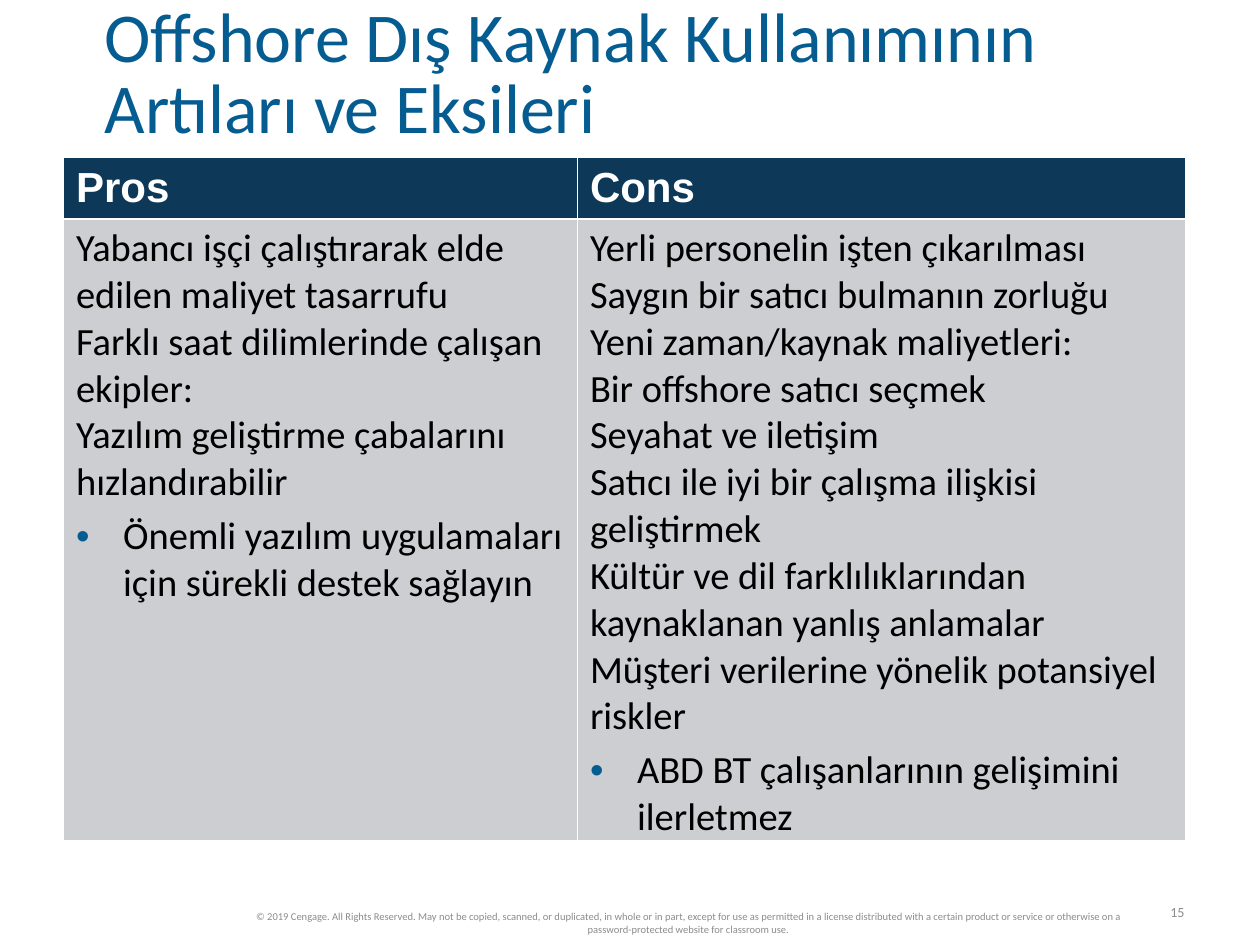
from dataclasses import dataclass

from lxml.etree import SubElement
from pptx import Presentation
from pptx.dml.color import RGBColor
from pptx.enum.text import MSO_ANCHOR, PP_ALIGN
from pptx.oxml.ns import qn
from pptx.util import Cm, Pt


@dataclass(frozen=True)
class Theme:
    """Colours, fonts and type sizes of the slide."""
    blue: str = "055C91"
    navy: str = "0D3857"
    pale: str = "CCCED1"
    gray: str = "8C8C8C"
    white: str = "FFFFFF"
    black: str = "000000"
    main: str = "Calibri"
    head: str = "Arial"
    title: int = 40
    label: int = 24
    body: int = 22
    page: int = 8
    note: int = 6


THEME = Theme()
PROS = [
    "Yabancı işçi çalıştırarak elde edilen maliyet tasarrufu",
    "Farklı saat dilimlerinde çalışan ekipler:",
    "Yazılım geliştirme çabalarını hızlandırabilir",
    "Önemli yazılım uygulamaları için sürekli destek sağlayın",
]
CONS = [
    "Yerli personelin işten çıkarılması",
    "Saygın bir satıcı bulmanın zorluğu",
    "Yeni zaman/kaynak maliyetleri:",
    "Bir offshore satıcı seçmek",
    "Seyahat ve iletişim",
    "Satıcı ile iyi bir çalışma ilişkisi geliştirmek",
    "Kültür ve dil farklılıklarından kaynaklanan yanlış anlamalar",
    "Müşteri verilerine yönelik potansiyel riskler",
    "ABD BT çalışanlarının gelişimini ilerletmez",
]
RIGHTS = (
    "© 2019 Cengage. All Rights Reserved. May not be copied, scanned, or "
    "duplicated, in whole or in part, except for use as permitted in a license "
    "distributed with a certain product or service or otherwise on a "
    "password-protected website for classroom use."
)


def style(para, size, color, face=THEME.main, bold=False):
    """Format every run of a paragraph."""
    for run in para.runs:
        font = run.font
        font.name, font.size, font.bold = face, Pt(size), bold
        font.color.rgb = RGBColor.from_string(color)


def bullet(para):
    """Give a paragraph a blue bullet and a hanging indent."""
    para.space_before = Pt(4)
    props = para._p.get_or_add_pPr()
    props.set("marL", str(Cm(0.95)))
    props.set("indent", str(-Cm(0.95)))
    tint = SubElement(props, qn("a:buClr"))
    SubElement(tint, qn("a:srgbClr")).set("val", THEME.blue)
    SubElement(props, qn("a:buFont")).set("typeface", THEME.head)
    SubElement(props, qn("a:buChar")).set("char", "•")


def fill(cell, color):
    """Fill a table cell with one colour."""
    cell.fill.solid()
    cell.fill.fore_color.rgb = RGBColor.from_string(color)


def add_title(slide, text):
    """Place and format the title."""
    title = slide.shapes.title
    title.left, title.top = Cm(2.11), Cm(0.08)
    title.width, title.height = Cm(22.3), Cm(2.92)
    frame = title.text_frame
    frame.text = text
    frame.word_wrap = True
    frame.vertical_anchor = MSO_ANCHOR.MIDDLE
    frame.margin_left = frame.margin_right = 0
    frame.margin_top = frame.margin_bottom = 0
    para = frame.paragraphs[0]
    para.alignment, para.line_spacing = PP_ALIGN.LEFT, 0.85
    style(para, THEME.title, THEME.blue)


def add_grid(slide, cols):
    """Add the table: a heading and a list in each column."""
    grid = slide.shapes.add_table(
        2, len(cols), Cm(1.28), Cm(3.18), Cm(22.63), Cm(13.74)).table
    grid.rows[0].height, grid.rows[1].height = Cm(1.23), Cm(12.51)
    for col, (name, width, items) in enumerate(cols):
        grid.columns[col].width = Cm(width)
        head, body = grid.cell(0, col), grid.cell(1, col)
        fill(head, THEME.navy)
        head.text_frame.text = name
        style(head.text_frame.paragraphs[0], THEME.label, THEME.white,
              THEME.head, True)
        fill(body, THEME.pale)
        body.margin_bottom = 0
        body.text_frame.text = "\n".join(items)
        paras = body.text_frame.paragraphs
        bullet(paras[-1])
        for para in paras:
            style(para, THEME.body, THEME.black)


def add_note(slide, text, box, size, align, wrap=True):
    """Add a small gray text at the foot of the slide."""
    frame = slide.shapes.add_textbox(*map(Cm, box)).text_frame
    frame.text = text
    frame.word_wrap = wrap
    frame.vertical_anchor = MSO_ANCHOR.MIDDLE
    para = frame.paragraphs[0]
    para.alignment = align
    style(para, size, THEME.gray)


def main():
    """Build and save the slide."""
    deck = Presentation()
    deck.slide_width, deck.slide_height = Cm(25.4), Cm(19.05)
    slide = deck.slides.add_slide(deck.slide_layouts[5])
    add_title(slide, "Offshore Dış Kaynak Kullanımının Artıları ve Eksileri")
    add_grid(slide, [("Pros", 10.36, PROS), ("Cons", 12.27, CONS)])
    add_note(slide, RIGHTS, (4.45, 18.26, 18.85, 0.69), THEME.note,
             PP_ALIGN.CENTER)
    add_note(slide, "15", (23.27, 18.08, 0.86, 0.61), THEME.page,
             PP_ALIGN.RIGHT, False)
    deck.save("out.pptx")


if __name__ == "__main__":
    main()
